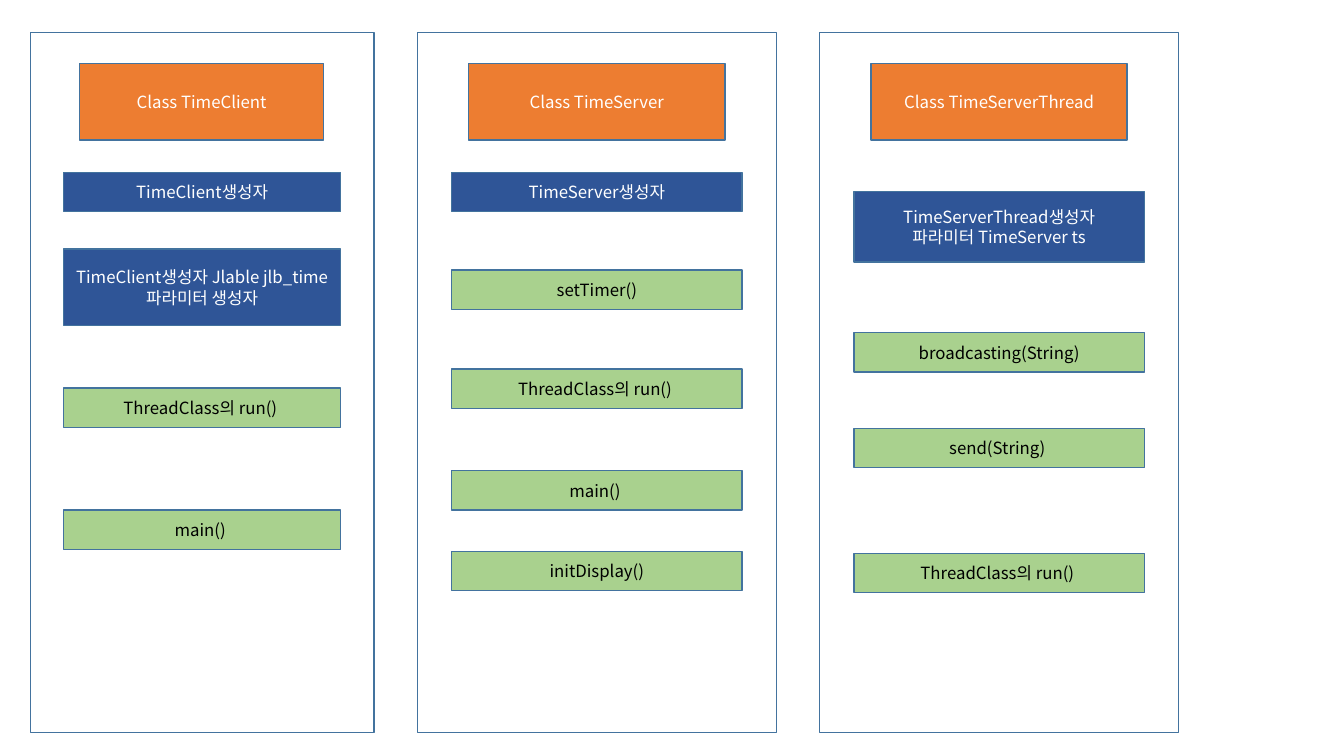
"""Build a slide that lists the members of three time service classes."""
import pptx
import pptx.dml.color
import pptx.enum.shapes
import pptx.enum.text
import pptx.oxml.ns
import pptx.util

RGB = pptx.dml.color.RGBColor
WHITE = RGB(0xFF, 0xFF, 0xFF)
BLACK = RGB(0x00, 0x00, 0x00)
ORANGE = RGB(0xED, 0x7D, 0x31)
NAVY = RGB(0x2F, 0x55, 0x97)
GREEN = RGB(0xA9, 0xD1, 0x8E)
OUTLINE = RGB(0x43, 0x73, 0x9E)
FONT = "Noto Sans CJK KR"

EMU_PER_PX = 9144
SLIDE_WIDTH, SLIDE_HEIGHT = 1333, 750
PANEL_TOP, PANEL_HEIGHT = 32, 695
TITLE_TOP, TITLE_HEIGHT = 63, 76
ROW_HEIGHT = 39

CLASSES = [
    {
        "name": "TimeClient", "left": 30, "width": 341,
        "title_width": 242, "member_width": 275,
        "constructors": [
            (171, ROW_HEIGHT, "TimeClient생성자"),
            (247, 76, "TimeClient생성자 Jlable jlb_time\n파라미터 생성자"),
        ],
        "methods": [(385, "ThreadClass의 run() "), (506, "main() ")],
    },
    {
        "name": "TimeServer", "left": 414, "width": 356,
        "title_width": 254, "member_width": 288,
        "constructors": [(171, ROW_HEIGHT, "TimeServer생성자")],
        "methods": [
            (268, "setTimer()"),
            (366, "ThreadClass의 run() "),
            (467, "main() "),
            (547, "initDisplay()"),
        ],
    },
    {
        "name": "TimeServerThread", "left": 813, "width": 356,
        "title_width": 254, "member_width": 288,
        "constructors": [
            (190, 70, "TimeServerThread생성자\n파라미터 TimeServer ts"),
        ],
        "methods": [
            (330, "broadcasting(String)"),
            (425, "send(String) "),
            (549, "ThreadClass의 run() "),
        ],
    },
]


def px(length):
    """Turn px into EMU."""
    return pptx.util.Emu(length * EMU_PER_PX)


def write_text(box, text, *, size=12, color=WHITE):
    """Fill a box with centred paragraphs, one for each line."""
    frame = box.text_frame
    frame.word_wrap = True
    frame.vertical_anchor = pptx.enum.text.MSO_ANCHOR.MIDDLE
    for index, line in enumerate(text.split("\n")):
        para = frame.add_paragraph() if index else frame.paragraphs[0]
        para.alignment = pptx.enum.text.PP_ALIGN.CENTER
        span = para.add_run()
        span.text = line
        span.font.name = FONT
        span.font.size = pptx.util.Pt(size)
        span.font.color.rgb = color
        east_asian = span.font._element.makeelement(
            pptx.oxml.ns.qn("a:ea"), {"typeface": FONT})
        span.font._element.append(east_asian)


def add_box(shapes, left, top, width, height, fill):
    """Add an outlined rectangle."""
    box = shapes.add_shape(pptx.enum.shapes.MSO_SHAPE.RECTANGLE,
                           px(left), px(top), px(width), px(height))
    box.shadow.inherit = False
    box.fill.solid()
    box.fill.fore_color.rgb = fill
    box.line.color.rgb = OUTLINE
    box.line.width = pptx.util.Pt(1)
    return box


def add_class(page, entry):
    """Add one class panel with its boxes centred across it."""
    shapes = page.shapes.add_group_shape().shapes
    left, width = entry["left"], entry["width"]
    add_box(shapes, left, PANEL_TOP, width, PANEL_HEIGHT, WHITE)

    member_width = entry["member_width"]
    rows = [(TITLE_TOP, TITLE_HEIGHT, entry["title_width"],
             "Class " + entry["name"], ORANGE, WHITE)]
    rows += [(top, height, member_width, text, NAVY, WHITE)
             for top, height, text in entry["constructors"]]
    rows += [(top, ROW_HEIGHT, member_width, text, GREEN, BLACK)
             for top, text in entry["methods"]]
    for top, height, row_width, text, fill, color in rows:
        row_left = left + (width - row_width) // 2
        box = add_box(shapes, row_left, top, row_width, height, fill)
        write_text(box, text, color=color)


def main():
    """Build and save the deck."""
    deck = pptx.Presentation()
    deck.slide_width, deck.slide_height = px(SLIDE_WIDTH), px(SLIDE_HEIGHT)
    page = deck.slides.add_slide(deck.slide_layouts[6])
    for entry in CLASSES:
        add_class(page, entry)
    deck.save("out.pptx")


if __name__ == "__main__":
    main()
